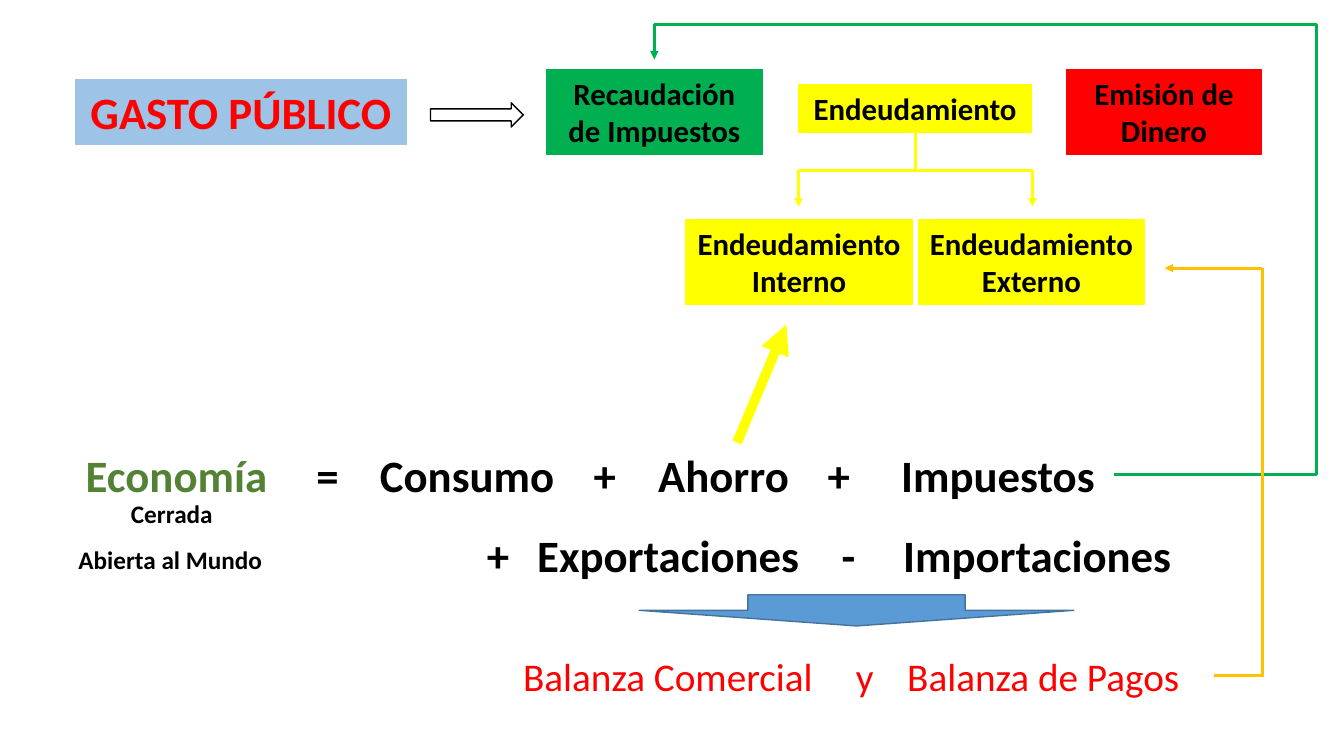
from typing import NamedTuple

from lxml.etree import SubElement
from pptx import Presentation
from pptx.dml.color import RGBColor
from pptx.enum.shapes import MSO_CONNECTOR as Link, MSO_SHAPE as Shape
from pptx.enum.text import MSO_ANCHOR as Anchor, MSO_AUTO_SIZE as AutoSize, PP_ALIGN as Align
from pptx.oxml.ns import qn
from pptx.util import Inches, Pt

COLORS = {
    "black": "000000", "white": "FFFFFF", "red": "FF0000", "green": "00B050",
    "yellow": "FFFF00", "amber": "FFC000", "sky": "9DC3E6", "olive": "548235",
    "blue": "5B9BD5", "navy": "43739E",
}
FRAME = {"word_wrap": True, "vertical_anchor": Anchor.TOP, "auto_size": AutoSize.SHAPE_TO_FIT_TEXT}


class Box(NamedTuple):
    lines: list[str]
    left: float
    top: float
    width: float
    height: float
    fill: str
    size: int = 22
    color: str = "black"


class Arrow(NamedTuple):
    kind: Shape
    left: float
    top: float
    width: float
    height: float
    fill: str
    outline: str


class Label(NamedTuple):
    """Runs are (text, colour) pairs; tabs are inches from the text edge."""
    runs: list[tuple[str, str]]
    left: float
    top: float
    width: float
    height: float
    size: int
    tabs: tuple[float, ...] = ()
    bold: bool = True


class Line(NamedTuple):
    start: tuple[float, float]
    end: tuple[float, float]
    color: str
    head: bool = False
    width: float = 2
    bend: int | None = None


BOXES = [
    Box(["GASTO PÚBLICO"], 0.75, 0.79, 3.28, 0.64, "sky", 32, "red"),
    Box(["Recaudación de Impuestos"], 5.42, 0.69, 2.14, 0.84, "green"),
    Box(["Endeudamiento"], 7.92, 0.84, 2.31, 0.47, "yellow"),
    Box(["Emisión de Dinero"], 10.58, 0.69, 1.93, 0.84, "red"),
    Box(["Endeudamiento", "Interno"], 6.8, 2.18, 2.25, 0.84, "yellow"),
    Box(["Endeudamiento", "Externo"], 9.11, 2.18, 2.24, 0.84, "yellow"),
]
ARROWS = [
    Arrow(Shape.RIGHT_ARROW, 4.27, 1.02, 0.92, 0.24, "white", "black"),
    Arrow(Shape.DOWN_ARROW, 6.34, 5.9, 4.31, 0.31, "blue", "navy"),
]
LABELS = [
    Label([("Economía", "olive"), ("\t=\tConsumo\t+\tAhorro\t+\tImpuestos", "black")],
          0.75, 4.39, 10.74, 0.64, 32, (2.29, 2.92, 5.04, 5.68, 7.36, 8.09)),
    Label([("Cerrada", "black")], 1.2, 4.89, 1.02, 0.4, 18),
    Label([("Abierta al Mundo", "black")], 0.68, 5.35, 2.04, 0.4, 18),
    Label([("+\tExportaciones\t-\tImportaciones", "black")],
          4.73, 5.19, 7.5, 0.64, 32, (0.5, 3.52, 4.13)),
    Label([("Balanza Comercial\ty\tBalanza de Pagos", "red")],
          5.09, 6.42, 7.77, 0.57, 28, (3.3, 3.81), False),
]
LINES = [
    Line((13.03, 4.71), (6.49, 0.24), "green", bend=-400),
    Line((6.49, 0.24), (6.49, 0.59), "green", head=True),
    Line((13.03, 4.71), (11.05, 4.71), "green"),
    Line((9.08, 1.32), (9.08, 1.69), "yellow"),
    Line((7.92, 1.69), (10.24, 1.69), "yellow"),
    Line((7.92, 1.69), (7.92, 2.05), "yellow", head=True),
    Line((10.24, 1.69), (10.24, 2.05), "yellow", head=True),
    Line((7.31, 4.39), (7.8, 3.22), "yellow", head=True, width=7),
    Line((12.52, 2.66), (12.52, 6.72), "amber"),
    Line((12.04, 6.7), (12.52, 6.7), "amber"),
    Line((12.52, 2.66), (11.55, 2.66), "amber", head=True),
]


def rgb(name: str) -> RGBColor:
    return RGBColor.from_string(COLORS[name])


def set_all(target, values: dict) -> None:
    for name, value in values.items():
        setattr(target, name, value)


def add_run(paragraph, text: str, size: int, color: str, bold: bool = True) -> None:
    run = paragraph.add_run()
    run.text = text
    set_all(run.font, {"name": "Calibri", "size": Pt(size), "bold": bold})
    run.font.color.rgb = rgb(color)


def add_filled(slide, kind: Shape, bounds: tuple, fill: str, outline: str, width: float):
    shape = slide.shapes.add_shape(kind, *map(Inches, bounds))
    shape.shadow.inherit = False
    shape.fill.solid()
    shape.fill.fore_color.rgb = rgb(fill)
    shape.line.color.rgb = rgb(outline)
    shape.line.width = Pt(width)
    return shape


def add_box(slide, box: Box) -> None:
    frame = add_filled(slide, Shape.RECTANGLE, box[1:5], box.fill, box.fill, 0.75).text_frame
    set_all(frame, FRAME)
    for index, text in enumerate(box.lines):
        paragraph = frame.add_paragraph() if index else frame.paragraphs[0]
        paragraph.alignment = Align.CENTER
        add_run(paragraph, text, box.size, box.color)


def add_label(slide, label: Label) -> None:
    frame = slide.shapes.add_textbox(*map(Inches, label[1:5])).text_frame
    set_all(frame, FRAME | {"word_wrap": bool(label.tabs)})
    paragraph = frame.paragraphs[0]
    paragraph.alignment = Align.LEFT
    if label.tabs:
        stops = SubElement(paragraph._p.get_or_add_pPr(), qn("a:tabLst"))
        for tab in label.tabs:
            SubElement(stops, qn("a:tab"), pos=str(Inches(tab)), algn="l")
    for text, color in label.runs:
        add_run(paragraph, text, label.size, color, label.bold)


def add_line(slide, line: Line) -> None:
    kind = Link.STRAIGHT if line.bend is None else Link.ELBOW
    connector = slide.shapes.add_connector(kind, *map(Inches, line.start + line.end))
    connector.line.color.rgb = rgb(line.color)
    connector.line.width = Pt(line.width)
    properties = connector._element.spPr
    if line.head:
        SubElement(properties.find(qn("a:ln")), qn("a:tailEnd"), type="triangle")
    if line.bend is not None:
        guides = properties.find(qn("a:prstGeom")).find(qn("a:avLst"))
        SubElement(guides, qn("a:gd"), name="adj1", fmla=f"val {line.bend}")
    SubElement(properties, qn("a:effectLst"))


def main() -> None:
    deck = Presentation()
    set_all(deck, {"slide_width": Inches(13.33), "slide_height": Inches(7.5)})
    slide = deck.slides.add_slide(deck.slide_layouts[6])
    for box in BOXES:
        add_box(slide, box)
    for arrow in ARROWS:
        add_filled(slide, arrow.kind, arrow[1:5], arrow.fill, arrow.outline, 1)
    for label in LABELS:
        add_label(slide, label)
    for line in LINES:
        add_line(slide, line)
    deck.save("out.pptx")


if __name__ == "__main__":
    main()
